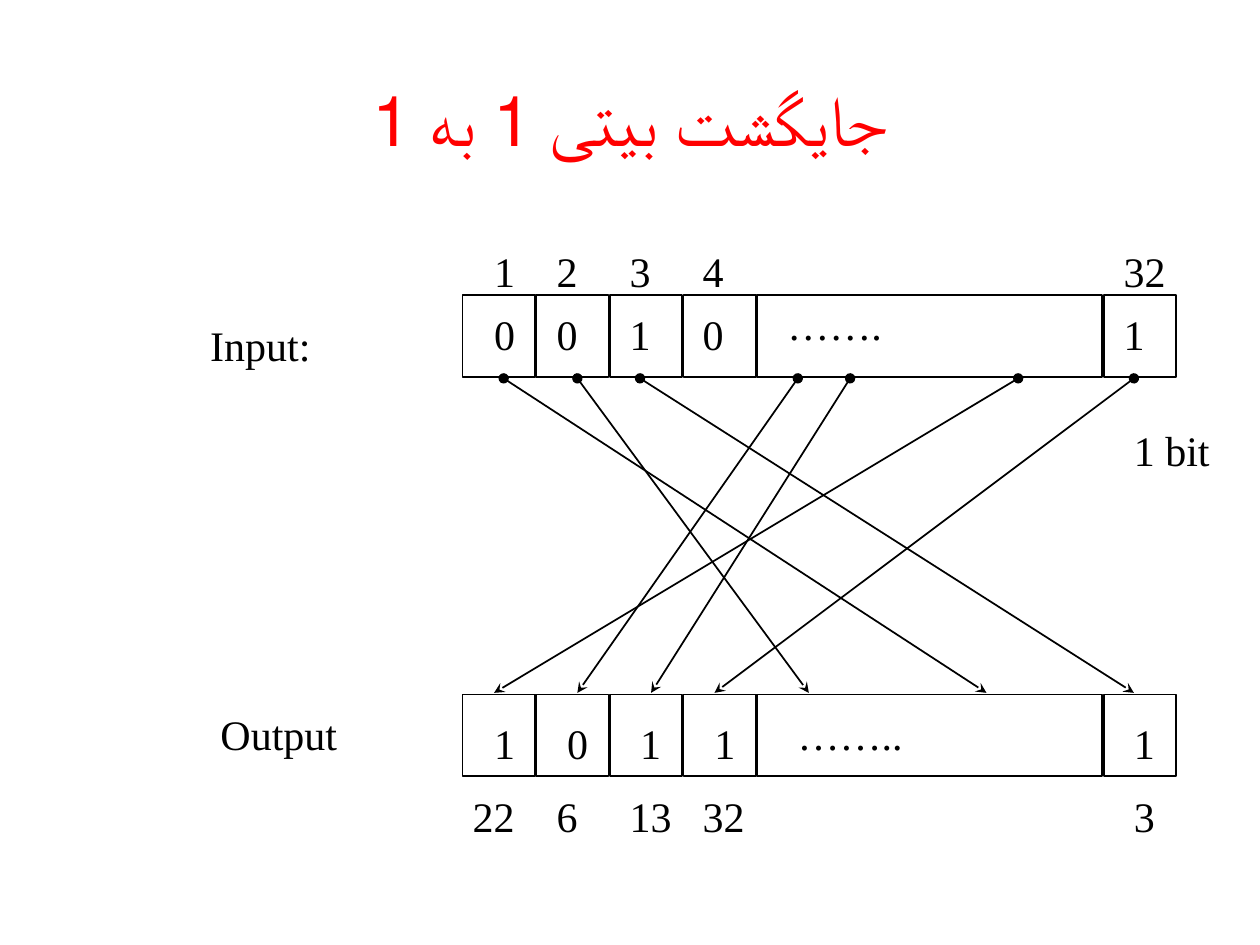
from lxml import etree
from pptx import Presentation
from pptx import util as u
from pptx.dml.color import RGBColor
from pptx.enum import shapes, text
from pptx.oxml import ns

COLORS = {"ink": "000000", "title": "FF0000"}
BODY_FONT, TITLE_FONT = "Times New Roman", "Comic Neue"
GRID_LEFT, GRID_TOP, COLUMN, ROW = 3.67, 2.34, 0.585, 0.65
INPUT_ROW, OUTPUT_ROW = 0, 4.88
CELLS = [(0, 1), (1, 1), (2, 1), (3, 1), (4, 4.7), (8.7, 1)]
INPUT_STOPS = [0.43, 1.28, 2.27, 3.26, 8.97]
BIT_ROWS = [
    (-0.68, "1 2 3 4 32", INPUT_STOPS),
    (0.09, "0 0 1 0 1", INPUT_STOPS),
    (5.09, "1 0 1 1 1", [0.43, 1.42, 2.41, 3.42, 9.11]),
    (5.98, "22 6 13 32 3", [0.14, 1.28, 2.27, 3.26, 9.11]),
]
LABELS = [
    ("Input:", -3.59, 0.22, 1.75),
    ("Output", -3.45, 4.97, 2),
    ("…….", 4.24, -0.03, 1.7),
    ("……..", 4.38, 4.97, 1.85),
    ("1 bit", 8.94, 1.51, 1.45),
]
WIRES = [(2.41, 9.11), (9.11, 3.42), (4.55, 1.56), (7.54, 0.43),
         (5.26, 2.56), (0.56, 7.11), (1.56, 4.7)]


def column_x(column):
    """Return the horizontal position of a grid column."""
    return u.Inches(GRID_LEFT + column * COLUMN)


def row_y(row):
    """Return the vertical position of a grid row."""
    return u.Inches(GRID_TOP + row * ROW)


def add_text(slide, content, box, size=24, font=BODY_FONT, color="ink"):
    """Add a one-paragraph text box and return its frame."""
    frame = slide.shapes.add_textbox(*box).text_frame
    frame.word_wrap = True
    frame.text = content
    run_font = frame.paragraphs[0].runs[0].font
    run_font.size, run_font.name = u.Pt(size), font
    run_font.color.rgb = RGBColor.from_string(COLORS[color])
    return frame


def add_title(slide, content, width, height):
    """Add the centred right-to-left title."""
    box = [int(width * 0.05), int(height * 0.04), int(width * 0.9), int(height * 0.17)]
    frame = add_text(slide, content, box, 40, TITLE_FONT, "title")
    frame.vertical_anchor = text.MSO_ANCHOR.MIDDLE
    paragraph = frame.paragraphs[0]
    paragraph.alignment = text.PP_ALIGN.CENTER
    paragraph._p.get_or_add_pPr().set("rtl", "1")


def add_label(slide, content, column, row, columns):
    """Add a label placed on the grid."""
    add_text(slide, content, (column_x(column), row_y(row),
                              u.Inches(columns * COLUMN), u.Inches(0.5)))


def add_cells(slide, row):
    """Draw one register as a row of outlined cells."""
    for column, span in CELLS:
        shape = slide.shapes.add_shape(
            shapes.MSO_SHAPE.RECTANGLE, column_x(column), row_y(row),
            u.Inches(span * COLUMN - 0.01), u.Inches(ROW))
        shape.shadow.inherit = False
        shape.fill.background()
        shape.line.color.rgb = RGBColor.from_string(COLORS["ink"])
        shape.line.width = u.Pt(1)


def add_bit_row(slide, row, content, stops):
    """Add a row of numbers aligned on tab stops."""
    box = (column_x(0), row_y(row), u.Inches(9.8 * COLUMN), u.Inches(0.5))
    frame = add_text(slide, "\t".join(content.split()), box)
    frame.margin_left, frame.margin_right = u.Inches(stops[0] * COLUMN), 0
    properties = frame.paragraphs[0]._p.get_or_add_pPr()
    tabs = etree.SubElement(properties, ns.qn("a:tabLst"))
    for stop in stops[1:]:
        position = u.Inches((stop - stops[0]) * COLUMN)
        etree.SubElement(tabs, ns.qn("a:tab"), pos=str(position), algn="l")


def add_wire(slide, source, target):
    """Draw a dotted-start arrow from an input bit to an output bit."""
    wire = slide.shapes.add_connector(
        shapes.MSO_CONNECTOR.STRAIGHT, column_x(source), row_y(1.02),
        column_x(target), row_y(4.86))
    wire.line.color.rgb = RGBColor.from_string(COLORS["ink"])
    wire.line.width = u.Pt(1)
    line = wire.line._get_or_add_ln()
    etree.SubElement(line, ns.qn("a:headEnd"), type="oval")
    etree.SubElement(line, ns.qn("a:tailEnd"), type="stealth")
    etree.SubElement(wire._element.spPr, ns.qn("a:effectLst"))


def main():
    """Build the bit permutation slide."""
    presentation = Presentation()
    presentation.slide_width, presentation.slide_height = u.Inches(10), u.Inches(7.5)
    slide = presentation.slides.add_slide(presentation.slide_layouts[6])
    add_title(slide, "جایگشت بیتی 1 به 1",
              presentation.slide_width, presentation.slide_height)
    for row in (INPUT_ROW, OUTPUT_ROW):
        add_cells(slide, row)
    for bit_row in BIT_ROWS:
        add_bit_row(slide, *bit_row)
    for wire in WIRES:
        add_wire(slide, *wire)
    for label in LABELS:
        add_label(slide, *label)
    presentation.save("out.pptx")


if __name__ == "__main__":
    main()
